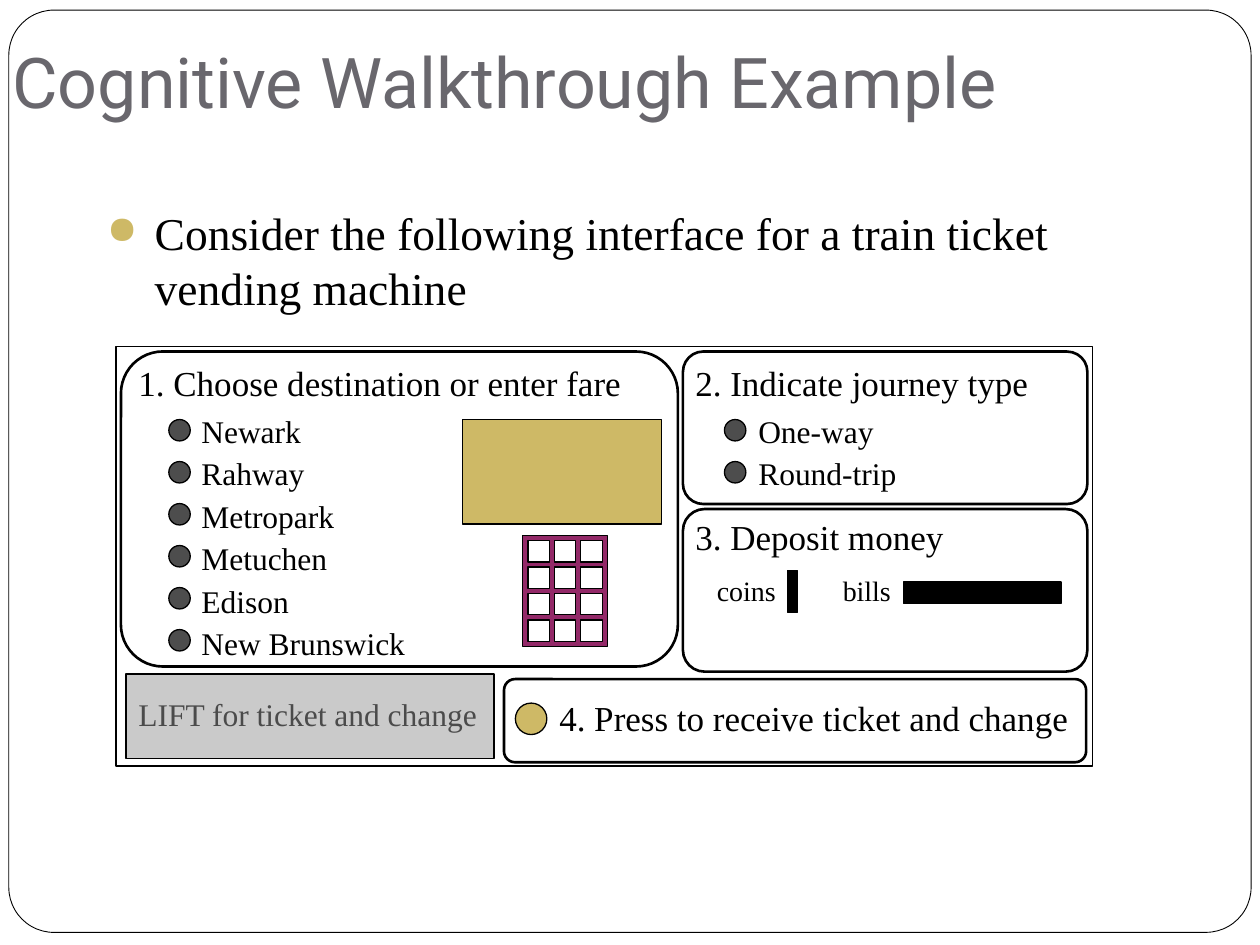
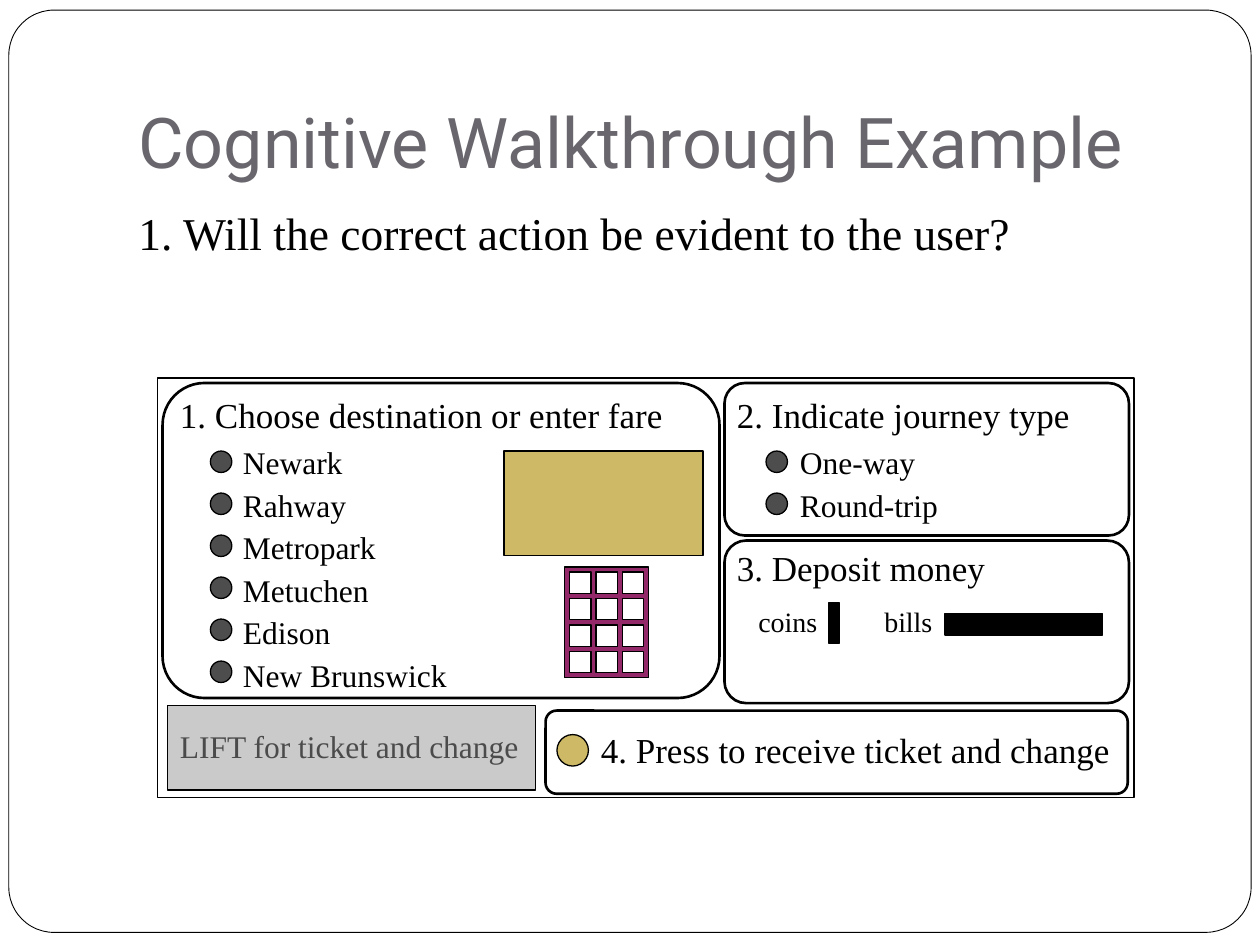
from dataclasses import dataclass

from lxml import etree
from pptx import Presentation
from pptx.dml.color import RGBColor
from pptx.enum.shapes import MSO_SHAPE
from pptx.enum.text import MSO_ANCHOR
from pptx.oxml.ns import qn
from pptx.util import Inches, Pt

RECT = MSO_SHAPE.RECTANGLE
ROUNDED = MSO_SHAPE.ROUNDED_RECTANGLE
OVAL = MSO_SHAPE.OVAL
TOP, BOTTOM = MSO_ANCHOR.TOP, MSO_ANCHOR.BOTTOM


@dataclass(frozen=True)
class Theme:
    black: str = "000000"
    white: str = "FFFFFF"
    title: str = "69676D"
    gold: str = "CEB966"
    plum: str = "932968"
    choice: str = "4D4D4D"
    flap: str = "969696"
    title_font: str = "Roboto"
    body_font: str = "Times New Roman"
    title_size: float = 40
    body_size: float = 26
    step_size: float = 20
    choice_size: float = 18
    slot_size: float = 16
    frame_line: float = 0.5
    thin_line: float = 0.75
    panel_line: float = 1.5


THEME = Theme()
TITLE = "Cognitive Walkthrough Example"
DESTINATIONS = ["Newark", "Rahway", "Metropark", "Metuchen", "Edison", "New Brunswick"]
JOURNEYS = ["One-way", "Round-trip"]
CHOICE_PITCH = 1 / 3
KEY_PITCH = 0.21


def add_outline(shapes, kind, box, fill=None, line=THEME.thin_line, corner=None, alpha=None):
    """Draw a preset shape with a black outline; no fill colour leaves it open."""
    shape = shapes.add_shape(kind, *map(Inches, box))
    shape.shadow.inherit = False
    shape.line.color.rgb = RGBColor.from_string(THEME.black)
    shape.line.width = Pt(line)
    if corner is not None:
        shape.adjustments[0] = corner
    if fill is None:
        shape.fill.background()
    else:
        shape.fill.solid()
        shape.fill.fore_color.rgb = RGBColor.from_string(fill)
    if alpha is not None:
        color = shape.fill._xPr.find(qn("a:solidFill"))[0]
        etree.SubElement(color, qn("a:alpha")).set("val", str(alpha * 1000))


def set_hanging(paragraph, indent, bullet=None):
    """Hang the first line, with a bullet if one is given."""
    props = paragraph._p.get_or_add_pPr()
    props.set("marL", str(Inches(indent)))
    props.set("indent", str(-Inches(indent)))
    if bullet:
        color = etree.SubElement(props, qn("a:buClr"))
        etree.SubElement(color, qn("a:srgbClr")).set("val", THEME.gold)
        etree.SubElement(props, qn("a:buSzPct")).set("val", "85000")
        etree.SubElement(props, qn("a:buChar")).set("char", bullet)


def format_paragraph(paragraph, text, size, font=THEME.body_font, color=THEME.black,
                     indent=0, bullet=None, before=0, after=0):
    if indent:
        set_hanging(paragraph, indent, bullet)
    paragraph.space_before = Pt(before)
    paragraph.space_after = Pt(after)
    run = paragraph.add_run()
    run.text = text
    run.font.size = Pt(size)
    run.font.name = font
    run.font.color.rgb = RGBColor.from_string(color)


def add_text(shapes, text, box, size, anchor=TOP, bottom=0.05, **style):
    """Place one paragraph of text and return its frame."""
    frame = shapes.add_textbox(*map(Inches, box)).text_frame
    frame.word_wrap = True
    frame.vertical_anchor = anchor
    frame.margin_bottom = Inches(bottom)
    format_paragraph(frame.paragraphs[0], text, size, **style)
    return frame


def add_page(deck, title_box, message, message_box, bullet=None):
    """Start a slide with the rounded frame, title and message."""
    shapes = deck.slides.add_slide(deck.slide_layouts[6]).shapes
    add_outline(shapes, ROUNDED, (0.07, 0.08, 9.86, 7.32), THEME.white,
                THEME.frame_line, corner=0.049)
    add_text(shapes, TITLE, title_box, THEME.title_size, anchor=BOTTOM, bottom=0.1,
             font=THEME.title_font, color=THEME.title)
    add_text(shapes, message, message_box, THEME.body_size, indent=0.38, bullet=bullet)
    return shapes


def add_ticket_machine(shapes, left, top):
    """Draw the vending machine with its upper left corner at the given place."""
    machine = shapes.add_group_shape().shapes

    def at(x, y, width, height):
        return left + x, top + y, width, height

    def part(kind, box, fill, **style):
        add_outline(machine, kind, at(*box), fill, **style)

    def panel(*box):
        part(ROUNDED, box, None, line=THEME.panel_line, corner=0.133)

    def step(text, box, choices=()):
        frame = add_text(machine, text, at(*box), THEME.step_size, indent=0.5,
                         after=2 if choices else 0)
        for choice in choices:
            format_paragraph(frame.add_paragraph(), "\t" + choice, THEME.choice_size,
                             indent=0.5, before=2.7)

    def choice_buttons(x, choices):
        for row in range(len(choices)):
            part(OVAL, (x, 0.58 + row * CHOICE_PITCH, 0.17, 0.17), THEME.choice)

    def slot(label, label_x, box):
        part(RECT, box, THEME.black)
        add_text(machine, label, at(label_x, 1.75, 0.92, 0.37), THEME.slot_size)

    part(RECT, (0, 0, 7.75, 3.33), THEME.white)

    # Step 1: destinations, fare display and keypad
    step("1. Choose destination or enter fare", (0.08, 0.07, 4.5, 2.45), DESTINATIONS)
    part(RECT, (2.75, 0.58, 1.58, 0.83), THEME.gold)
    part(RECT, (3.23, 1.5, 0.67, 0.88), THEME.plum)
    for row in range(4):
        for column in range(3):
            part(RECT, (3.27 + column * KEY_PITCH, 1.54 + row * KEY_PITCH, 0.17, 0.17),
                 THEME.white)
    choice_buttons(0.42, DESTINATIONS)
    panel(0.04, 0.04, 4.42, 2.5)

    # Step 2: journey type
    panel(4.5, 0.04, 3.21, 1.21)
    step("2. Indicate journey type", (4.5, 0.07, 3.17, 1.13), JOURNEYS)
    choice_buttons(4.83, JOURNEYS)

    # Step 3: money slots
    panel(4.5, 1.29, 3.21, 1.29)
    step("3. Deposit money", (4.5, 1.29, 3.17, 0.43))
    slot("coins", 4.67, (5.33, 1.78, 0.08, 0.33))
    slot("bills", 5.67, (6.25, 1.87, 1.25, 0.17))

    # Step 4: ticket button
    panel(3.08, 2.64, 4.62, 0.66)
    step("4. Press to receive ticket and change", (3.42, 2.73, 4.28, 0.43))
    part(OVAL, (3.17, 2.83, 0.25, 0.25), THEME.gold)

    # Collection flap, half transparent over its label
    add_text(machine, "LIFT for ticket and change", at(0.08, 2.72, 2.92, 0.4),
             THEME.choice_size)
    part(RECT, (0.08, 2.6, 2.92, 0.67), THEME.flap, alpha=50)


def main():
    deck = Presentation()
    deck.slide_width, deck.slide_height = Inches(10), Inches(7.5)

    # Introduction of the interface
    intro = add_page(
        deck, (0, 0.07, 10, 1),
        "Consider the following interface for a train ticket vending machine",
        (0.75, 1.58, 8.5, 5.42), bullet="●")
    add_ticket_machine(intro, 0.92, 2.75)

    # First walkthrough question
    question = add_page(
        deck, (1, 0.3, 8.5, 1.25),
        "1. Will the correct action be evident to the user?",
        (1, 1.58, 8.5, 5))
    add_ticket_machine(question, 1.25, 3)

    deck.save("out.pptx")


if __name__ == "__main__":
    main()
